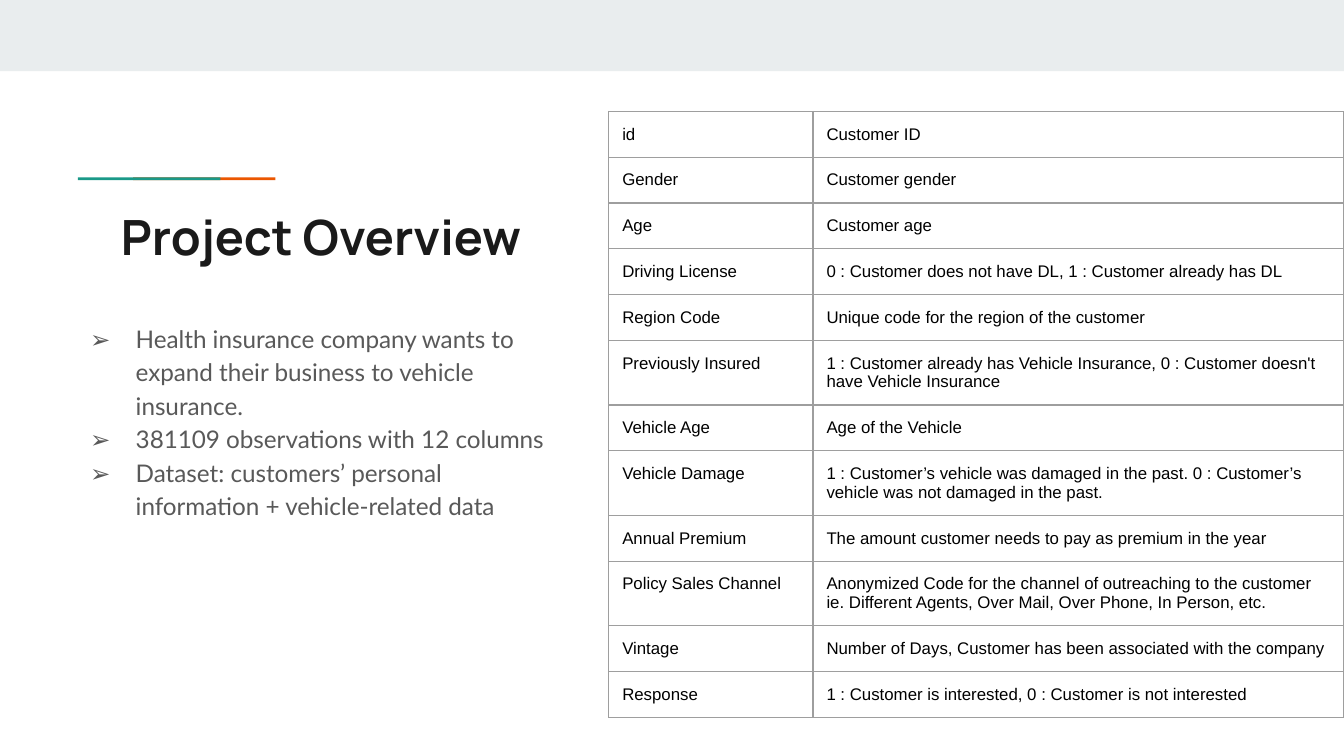
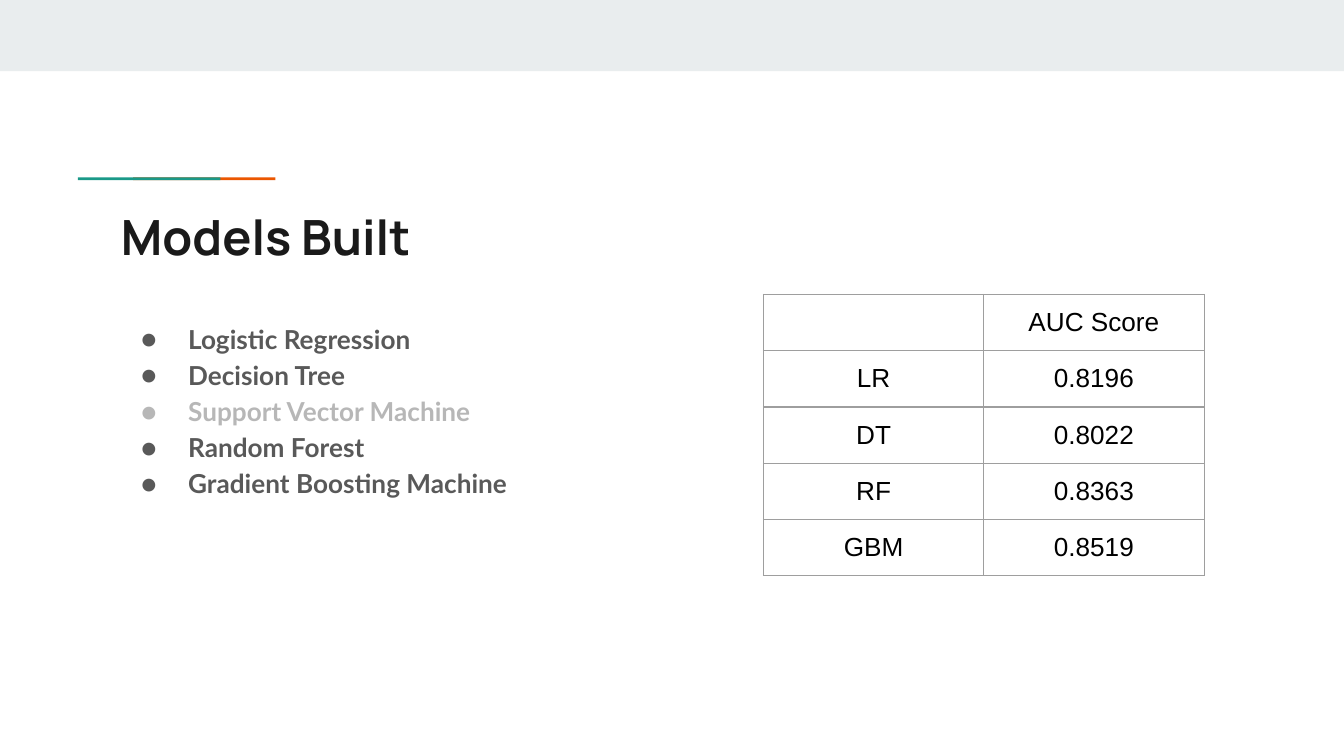
from lxml.etree import SubElement as add_element
from pptx import Presentation
from pptx.dml.color import RGBColor as Rgb
from pptx.enum.shapes import MSO_SHAPE as Preset
from pptx.enum.text import MSO_ANCHOR as Anchor, MSO_AUTO_SIZE as AutoSize, PP_ALIGN as Align
from pptx.oxml.ns import qn
from pptx.util import Inches, Pt

SLIDE_WIDTH = Inches(10)
SLIDE_HEIGHT = SLIDE_WIDTH * 9 // 16
COLORS = {
    "band": "E9EDEE",
    "teal": "1A9988",
    "orange": "EB5600",
    "title": "1A1A1A",
    "body": "595959",
    "muted": "B7B7B7",
    "cell": "000000",
    "border": "9E9E9E",
}
TITLE_FONT = {"name": "Manrope", "size": Pt(26), "bold": True}
BODY_FONT = {"name": "Lato"}
CELL_FONT = {"name": "Arial"}
MARGIN = Inches(0.1)
CELL_FORMAT = {
    "margin_left": MARGIN,
    "margin_top": MARGIN,
    "margin_right": MARGIN,
    "margin_bottom": MARGIN,
    "vertical_anchor": Anchor.TOP,
}
FRAME_FORMAT = CELL_FORMAT | {"word_wrap": True, "auto_size": AutoSize.NONE}

GOALS = [
    "Health insurance company wants to expand their business to vehicle insurance.",
    "381109 observations with 12 columns",
    "Dataset: customers’ personal information + vehicle-related data",
]
DATA_COLUMNS = [
    ("id", "Customer ID"),
    ("Gender", "Customer gender"),
    ("Age", "Customer age"),
    ("Driving License", "0 : Customer does not have DL, 1 : Customer already has DL"),
    ("Region Code", "Unique code for the region of the customer"),
    ("Previously Insured", "1 : Customer already has Vehicle Insurance, "
     "0 : Customer doesn't have Vehicle Insurance"),
    ("Vehicle Age", "Age of the Vehicle"),
    ("Vehicle Damage", "1 : Customer’s vehicle was damaged in the past. "
     "0 : Customer’s vehicle was not damaged in the past."),
    ("Annual Premium", "The amount customer needs to pay as premium in the year"),
    ("Policy Sales Channel", "Anonymized Code for the channel of outreaching to the customer "
     "ie. Different Agents, Over Mail, Over Phone, In Person, etc."),
    ("Vintage", "Number of Days, Customer has been associated with the company"),
    ("Response", "1 : Customer is interested, 0 : Customer is not interested"),
]
MODELS = [
    "Logistic Regression",
    "Decision Tree",
    "Support Vector Machine",
    "Random Forest",
    "Gradient Boosting Machine",
]
DROPPED_MODEL = "Support Vector Machine"
AUC_SCORES = [
    ("", "AUC Score"),
    ("LR", "0.8196"),
    ("DT", "0.8022"),
    ("RF", "0.8363"),
    ("GBM", "0.8519"),
]


def apply_format(target, values):
    for name, value in values.items():
        setattr(target, name, value)


def add_run(paragraph, text, font_format, color):
    run = paragraph.add_run()
    run.text = text
    apply_format(run.font, font_format)
    run.font.color.rgb = Rgb.from_string(COLORS[color])


def place(shape, left, top, width, height):
    box = zip(("left", "top", "width", "height"), (left, top, width, height))
    apply_format(shape, {side: Inches(length) for side, length in box})


def add_bar(slide, color, left, top, width, height):
    bar = slide.shapes.add_shape(Preset.RECTANGLE, *map(Inches, (left, top, width, height)))
    bar.fill.solid()
    bar.fill.fore_color.rgb = Rgb.from_string(COLORS[color])
    bar.line.fill.background()
    bar.shadow.inherit = False


def add_content_slide(presentation, title):
    """Slide with the top band, the two-colour accent line and a title."""
    slide = presentation.slides.add_slide(presentation.slide_layouts[1])
    add_bar(slide, "band", 0, 0, 10, 0.53)
    add_bar(slide, "orange", 0.99, 1.32, 1.06, 0.02)
    add_bar(slide, "teal", 0.58, 1.32, 1.06, 0.02)

    shape = slide.shapes.title
    place(shape, 0.8, 1.44, 8.41, 0.59)
    apply_format(shape.text_frame, FRAME_FORMAT)
    paragraph = shape.text_frame.paragraphs[0]
    paragraph.alignment = Align.LEFT
    add_run(paragraph, title, TITLE_FONT, "title")
    return slide


def set_bullet(paragraph, symbol, color, hanging):
    properties = paragraph._p.get_or_add_pPr()
    properties.set("marL", str(Inches(0.5)))
    properties.set("indent", str(-Inches(hanging)))
    bullet_color = add_element(properties, qn("a:buClr"))
    add_element(bullet_color, qn("a:srgbClr"), val=COLORS[color])
    add_element(properties, qn("a:buFont"), typeface=BODY_FONT["name"])
    add_element(properties, qn("a:buChar"), char=symbol)


def fill_list(slide, items, box, symbol, hanging, font_format, muted=()):
    shape = slide.placeholders[1]
    place(shape, *box)
    frame = shape.text_frame
    apply_format(frame, FRAME_FORMAT)
    for index, item in enumerate(items):
        paragraph = frame.add_paragraph() if index else frame.paragraphs[0]
        apply_format(paragraph, {"alignment": Align.LEFT, "line_spacing": 1.15,
                                 "space_before": Pt(0), "space_after": Pt(0)})
        color = "muted" if item in muted else "body"
        set_bullet(paragraph, symbol, color, hanging)
        add_run(paragraph, item, BODY_FONT | font_format, color)


def set_borders(cell):
    properties = cell._tc.get_or_add_tcPr()
    for index, side in enumerate(("lnL", "lnR", "lnT", "lnB")):
        line = properties.makeelement(qn(f"a:{side}"), {"w": str(Pt(0.75))})
        fill = add_element(line, qn("a:solidFill"))
        add_element(fill, qn("a:srgbClr"), val=COLORS["border"])
        properties.insert(index, line)


def add_grid(slide, rows, left, top, widths, row_height, size, alignment):
    frame = slide.shapes.add_table(
        len(rows), len(widths), Inches(left), Inches(top),
        Inches(sum(widths)), Inches(row_height * len(rows)))
    table = frame.table
    apply_format(table, {"first_row": False, "horz_banding": False})
    for column, width in zip(table.columns, widths):
        column.width = Inches(width)
    for row, texts in zip(table.rows, rows):
        row.height = Inches(row_height)
        for cell, text in zip(row.cells, texts):
            apply_format(cell, CELL_FORMAT)
            cell.fill.background()
            set_borders(cell)
            paragraph = cell.text_frame.paragraphs[0]
            paragraph.alignment = alignment
            if text:
                add_run(paragraph, text, CELL_FONT | {"size": Pt(size)}, "cell")
            else:
                # An empty cell keeps the row height of its neighbours
                ending = add_element(paragraph._p, qn("a:endParaRPr"), sz=str(size * 100))
                add_element(ending, qn("a:latin"), typeface=CELL_FONT["name"])


def main():
    presentation = Presentation()
    apply_format(presentation, {"slide_width": SLIDE_WIDTH, "slide_height": SLIDE_HEIGHT})

    # Project goals and data dictionary
    overview = add_content_slide(presentation, "Project Overview")
    fill_list(overview, GOALS, (0.41, 2.28, 3.89, 2.47), "➢", 0.34, {"size": Pt(13)})
    add_grid(overview, DATA_COLUMNS, 4.53, 0.83, (1.52, 3.95), 0.34, 9, Align.LEFT)

    # Models and their scores
    models = add_content_slide(presentation, "Models Built")
    fill_list(models, MODELS, (0.8, 2.27, 8.41, 2.47), "●", 0.35,
              {"size": Pt(14), "bold": True}, muted=(DROPPED_MODEL,))
    add_grid(models, AUC_SCORES, 5.68, 2.19, (1.64, 1.64), 0.41, 14, Align.CENTER)

    presentation.save("out.pptx")


if __name__ == "__main__":
    main()
